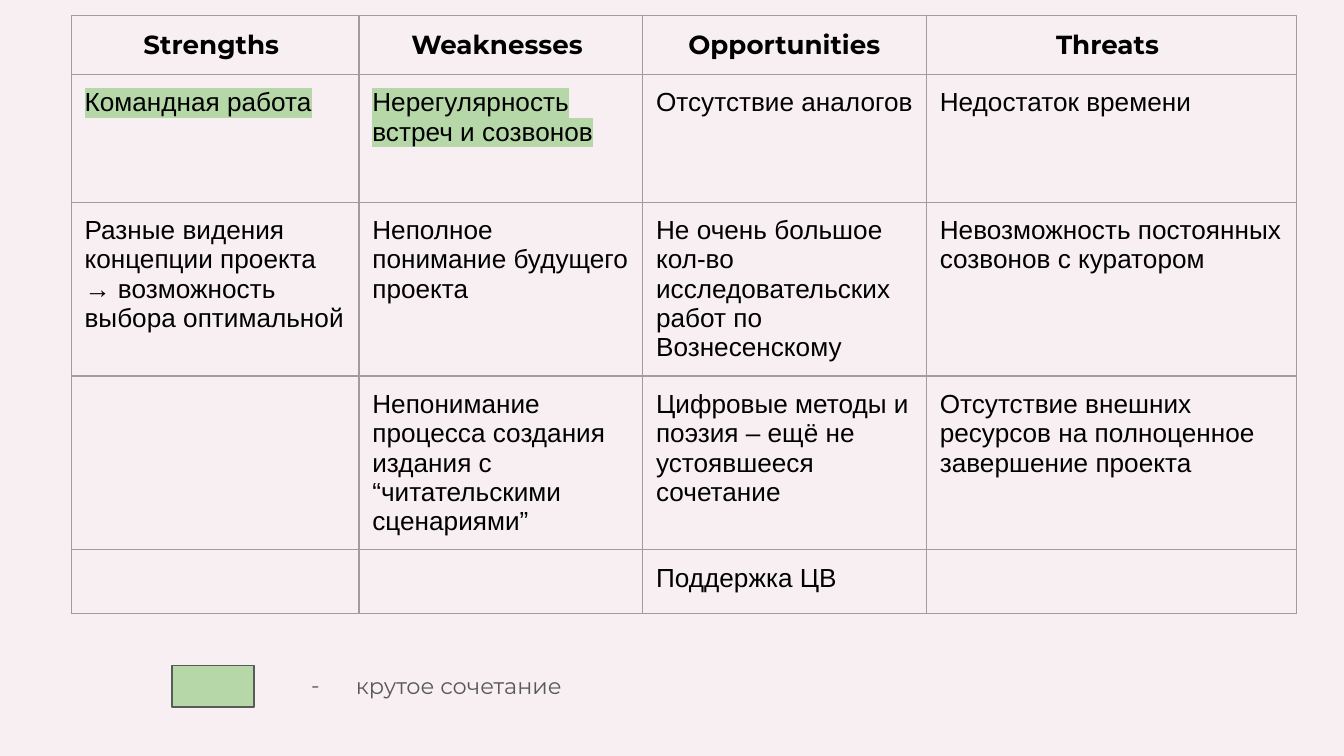
from dataclasses import dataclass

from lxml.etree import SubElement
from pptx import Presentation
from pptx.dml.color import RGBColor as RGB
from pptx.enum.shapes import MSO_SHAPE as Kind
from pptx.enum.text import PP_ALIGN as Align
from pptx.oxml.ns import qn
from pptx.util import Pt


@dataclass(frozen=True)
class Theme:
    back: str = "F8EFF3"
    ink: str = "000000"
    soft: str = "595959"
    mark: str = "B6D7A8"
    rule: str = "9E9E9E"
    line: float = 0.75
    inset: float = 7.2
    head: str = "Montserrat"
    body: str = "Arial"
    size: int = 14
    small: int = 12


@dataclass(frozen=True)
class Item:
    text: str = ""
    head: bool = False
    mark: bool = False


@dataclass(frozen=True)
class Box:
    left: float
    top: float
    wide: float
    high: float

    def place(self) -> list:
        return [Pt(v) for v in (self.left, self.top, self.wide, self.high)]


LOOK = Theme()
COLS = (154.2, 152, 152, 198.1)
ROWS = (31.7, 68.4, 93, 93, 34.3)
GRID = Box(38.1, 8.3, sum(COLS), sum(ROWS))
KEY = Box(92.2, 356.4, 43.9, 22.3)
NOTE = Box(147.6, 352.8, 230.4, 22.3)

HEADS = ("Strengths ", "Weaknesses ", "Opportunities", "Threats ")
ITEMS = (
    tuple(Item(text, head=True) for text in HEADS),
    (Item("Командная работа", mark=True),
     Item("Нерегулярность встреч и созвонов", mark=True),
     Item("Отсутствие аналогов"),
     Item("Недостаток времени")),
    (Item("Разные видения концепции проекта → возможность выбора оптимальной"),
     Item("Неполное понимание будущего проекта"),
     Item("Не очень большое кол-во исследовательских работ по Вознесенскому"),
     Item("Невозможность постоянных созвонов с куратором")),
    (Item(),
     Item("Непонимание процесса создания издания с “читательскими сценариями”"),
     Item("Цифровые методы и поэзия – ещё не устоявшееся сочетание"),
     Item("Отсутствие внешних ресурсов на полноценное завершение проекта")),
    (Item(), Item(), Item("Поддержка ЦВ"), Item()),
)


def color(node, tag: str, tone: str):
    part = SubElement(node, qn(tag))
    SubElement(part, qn("a:srgbClr"), val=tone)
    return part


def pad(host) -> None:
    host.margin_left = host.margin_right = Pt(LOOK.inset)
    host.margin_top = host.margin_bottom = Pt(LOOK.inset)


def write(para, text: str, face: str, size: int, tone: str, bold=False):
    run = para.add_run()
    run.text = text
    font = run.font
    font.name, font.size, font.bold = face, Pt(size), bold
    font.color.rgb = RGB.from_string(tone)
    return run


def light(run) -> None:
    """Highlight a run; the mark must stand before the font name."""
    props = run.font._element
    mark = color(props, "a:highlight", LOOK.mark)
    props.find(qn("a:latin")).addprevious(mark)


def frame(cell) -> None:
    props = cell._tc.get_or_add_tcPr()
    for side in "LRTB":
        edge = SubElement(props, qn(f"a:ln{side}"), w=str(Pt(LOOK.line)))
        color(edge, "a:solidFill", LOOK.rule)
    cell.fill.background()


def fill(cell, item: Item) -> None:
    pad(cell)
    frame(cell)
    para = cell.text_frame.paragraphs[0]
    if not item.text:
        SubElement(para._p, qn("a:endParaRPr"), sz=str(LOOK.size * 100))
        return
    para.alignment = Align.CENTER if item.head else Align.LEFT
    face = LOOK.head if item.head else LOOK.body
    run = write(para, item.text, face, LOOK.size, LOOK.ink, item.head)
    if item.mark:
        light(run)


def draw_grid(slide) -> None:
    table = slide.shapes.add_table(len(ROWS), len(COLS), *GRID.place()).table
    table.first_row = table.horz_banding = False
    for col, wide in zip(table.columns, COLS):
        col.width = Pt(wide)
    for row, high, items in zip(table.rows, ROWS, ITEMS):
        row.height = Pt(high)
        for cell, item in zip(row.cells, items):
            fill(cell, item)


def draw_key(slide) -> None:
    # Colour swatch
    chip = slide.shapes.add_shape(Kind.RECTANGLE, *KEY.place())
    chip.shadow.inherit = False
    chip.fill.solid()
    chip.fill.fore_color.rgb = RGB.from_string(LOOK.mark)
    chip.line.color.rgb = RGB.from_string(LOOK.soft)
    chip.line.width = Pt(LOOK.line)

    # Label with a dash bullet
    body = slide.shapes.add_textbox(*NOTE.place()).text_frame
    body.word_wrap = True
    pad(body)
    para = body.paragraphs[0]
    props = para._p.get_or_add_pPr()
    props.set("marL", str(Pt(36)))
    props.set("indent", str(Pt(-24)))
    color(props, "a:buClr", LOOK.soft)
    SubElement(props, qn("a:buFont"), typeface=LOOK.head)
    SubElement(props, qn("a:buChar"), char="-")
    write(para, "крутое сочетание", LOOK.head, LOOK.small, LOOK.soft)


def main() -> None:
    deck = Presentation()
    deck.slide_width, deck.slide_height = Pt(720), Pt(405)
    slide = deck.slides.add_slide(deck.slide_layouts[6])
    back = slide.background.fill
    back.solid()
    back.fore_color.rgb = RGB.from_string(LOOK.back)
    draw_grid(slide)
    draw_key(slide)
    deck.save("out.pptx")


if __name__ == "__main__":
    main()
